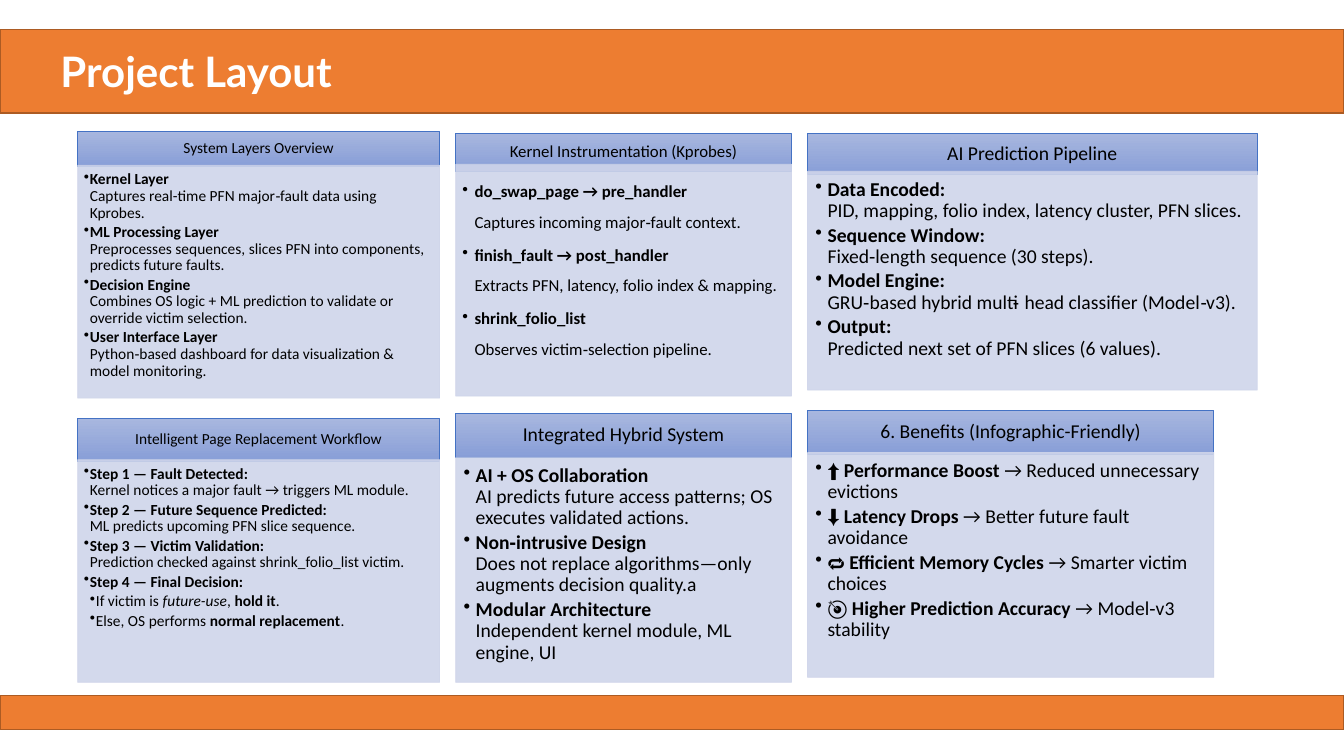
import dataclasses

import lxml.etree
import pptx
import pptx.dml.color
import pptx.enum.shapes
import pptx.enum.text
import pptx.oxml.ns
import pptx.util

Inches = pptx.util.Inches
Pt = pptx.util.Pt
RGBColor = pptx.dml.color.RGBColor
ALIGN = pptx.enum.text.PP_ALIGN
ANCHOR = pptx.enum.text.MSO_ANCHOR

ORANGE = RGBColor(0xED, 0x7D, 0x31)
DARK_ORANGE = RGBColor(0xAC, 0x5B, 0x23)
HEADER_TOP = RGBColor(0xA8, 0xB7, 0xDF)
HEADER_BOTTOM = RGBColor(0x88, 0x9E, 0xD7)
BLUE = RGBColor(0x44, 0x72, 0xC4)
PALE_BLUE = RGBColor(0xCF, 0xD5, 0xEA)
BLACK = RGBColor(0, 0, 0)
WHITE = RGBColor(0xFF, 0xFF, 0xFF)

SLIDE_WIDTH = 13.33
COLUMNS = (0.77, 4.52, 8.01)


@dataclasses.dataclass
class Panel:
    """Box in inches, text size in points; items hold (bold lead, detail)."""
    heading: str
    box: tuple
    header_height: float
    body_offset: float
    size: int
    items: list
    hanging: float = 0.12
    line_spacing: float = 0.9
    outcomes: tuple = ()


PANELS = [
    Panel("System Layers Overview", (COLUMNS[0], 1.3, 3.59, 2.65), 0.35, 0.34, 11, [
        ("Kernel Layer\n", "Captures real-time PFN major‑fault data using Kprobes."),
        ("ML Processing Layer\n",
         "Preprocesses sequences, slices PFN into components, predicts future faults."),
        ("Decision Engine\n",
         "Combines OS logic + ML prediction to validate or override victim selection."),
        ("User Interface Layer\n",
         "Python‑based dashboard for data visualization & model monitoring."),
    ], hanging=0.06),
    Panel("Kernel Instrumentation (Kprobes)", (COLUMNS[1], 1.32, 3.33, 2.61), 0.38, 0.31, 12, [
        ("do_swap_page → pre_handler\n", "Captures incoming major‑fault context."),
        ("finish_fault → post_handler\n", "Extracts PFN, latency, folio index & mapping."),
        ("shrink_folio_list\n", "Observes victim‑selection pipeline."),
    ], line_spacing=1.5),
    Panel("AI Prediction Pipeline", (COLUMNS[2], 1.32, 4.46, 2.55), 0.41, 0.38, 14, [
        ("Data Encoded:\n", "PID, mapping, folio index, latency cluster, PFN slices."),
        ("Sequence Window:\n", "Fixed‑length sequence (30 steps)."),
        ("Model Engine:\n", "GRU‑based hybrid multi‑head classifier (Model‑v3)."),
        ("Output:\n", "Predicted next set of PFN slices (6 values)."),
    ]),
    Panel("Intelligent Page Replacement Workflow", (COLUMNS[0], 4.15, 3.59, 2.62), 0.43, 0.41, 11, [
        ("Step 1 — Fault Detected:\n", "Kernel notices a major fault → triggers ML module."),
        ("Step 2 — Future Sequence Predicted:\n", "ML predicts upcoming PFN slice sequence."),
        ("Step 3 — Victim Validation:\n", "Prediction checked against shrink_folio_list victim."),
        ("Step 4 — Final Decision:", ""),
    ], hanging=0.06, outcomes=(
        (("If victim is ", ""), ("future-use", "italic"), (", ", ""), ("hold it", "bold"), (".", "")),
        (("Else, OS performs ", ""), ("normal replacement", "bold"), (".", "")),
    )),
    Panel("Integrated Hybrid System", (COLUMNS[1], 4.1, 3.33, 2.67), 0.44, 0.44, 14, [
        ("AI + OS Collaboration\n",
         "AI predicts future access patterns; OS executes validated actions."),
        ("Non‑intrusive Design\n",
         "Does not replace algorithms—only augments decision quality.a"),
        ("Modular Architecture\n", "Independent kernel module, ML engine, UI"),
    ]),
    Panel("6. Benefits (Infographic-Friendly)", (COLUMNS[2], 4.07, 4.03, 2.65), 0.44, 0.42, 14, [
        ("⬆ Performance Boost", " → Reduced unnecessary evictions"),
        ("⬇ Latency Drops", " → Better future fault avoidance"),
        ("🔁 Efficient Memory Cycles", " → Smarter victim choices"),
        ("🎯 Higher Prediction Accuracy", " → Model‑v3 stability"),
    ]),
]


def add_rectangle(page, left, top, width, height):
    shape = page.shapes.add_shape(
        pptx.enum.shapes.MSO_SHAPE.RECTANGLE,
        Inches(left), Inches(top), Inches(width), Inches(height))
    shape.shadow.inherit = False
    return shape


def paint(shape, fill, line, weight):
    shape.fill.solid()
    shape.fill.fore_color.rgb = fill
    shape.line.color.rgb = line
    shape.line.width = Pt(weight)


def set_font(font, name, size, color):
    font.name = name
    font.size = Pt(size)
    font.color.rgb = color


def set_insets(frame, left, top, right, bottom):
    frame.margin_left, frame.margin_top = Pt(left), Pt(top)
    frame.margin_right, frame.margin_bottom = Pt(right), Pt(bottom)


def add_title_band(page, top, height):
    title = page.shapes.title
    title.left, title.top = Inches(0), Inches(top)
    title.width, title.height = Inches(SLIDE_WIDTH), Inches(height)
    paint(title, ORANGE, DARK_ORANGE, 1)
    frame = title.text_frame
    frame.text = "Project Layout"
    frame.vertical_anchor = ANCHOR.MIDDLE
    frame.margin_left = Inches(0.6)
    para = frame.paragraphs[0]
    para.alignment = ALIGN.LEFT
    set_font(para.font, "Lato", 30, WHITE)
    para.font.bold = True


def add_header(page, panel):
    left, top, width, _ = panel.box
    header = add_rectangle(page, left, top, width, panel.header_height)
    header.fill.gradient()
    header.fill.gradient_angle = 270
    for stop, color in zip(header.fill.gradient_stops, (HEADER_TOP, HEADER_BOTTOM)):
        stop.color.rgb = color
    header.line.color.rgb = BLUE
    header.line.width = Pt(0.5)
    frame = header.text_frame
    frame.word_wrap = True
    frame.vertical_anchor = ANCHOR.MIDDLE
    set_insets(frame, *[panel.size * ratio for ratio in (0.57, 0.32, 0.57, 0.32)])
    para = frame.paragraphs[0]
    para.text = panel.heading
    para.alignment = ALIGN.CENTER
    para.line_spacing = 0.9
    set_font(para.font, "Calibri", panel.size, BLACK)


def add_bullet(para, panel, level, spans):
    para.alignment = ALIGN.LEFT
    para.line_spacing = panel.line_spacing
    para.space_after = Pt(panel.size * 0.18)
    properties = para._p.get_or_add_pPr()
    properties.set("marL", str(Inches(panel.hanging * level)))
    properties.set("indent", str(-Inches(panel.hanging)))
    bullet = lxml.etree.SubElement(properties, pptx.oxml.ns.qn("a:buChar"))
    bullet.set("char", "•")
    set_font(para.font, "Calibri", panel.size, BLACK)
    for text, style in spans:
        span = para.add_run()
        span.text = text.rstrip("\n")
        span.font.bold = style == "bold"
        span.font.italic = style == "italic"
        if text.endswith("\n"):
            para.add_line_break()


def add_body(page, panel):
    left, top, width, height = panel.box
    body = add_rectangle(page, left, top + panel.body_offset, width, height - panel.body_offset)
    paint(body, PALE_BLUE, PALE_BLUE, 0.5)
    for color in body._element.spPr.iter(pptx.oxml.ns.qn("a:srgbClr")):
        lxml.etree.SubElement(color, pptx.oxml.ns.qn("a:alpha")).set("val", "90000")
    frame = body.text_frame
    frame.word_wrap = True
    frame.vertical_anchor = ANCHOR.TOP
    set_insets(frame, *[panel.size * ratio for ratio in (0.4, 0.4, 0.57, 0.6)])
    bullets = [(1, [(lead, "bold")] + ([(detail, "")] if detail else []))
               for lead, detail in panel.items]
    bullets += [(2, spans) for spans in panel.outcomes]
    for index, (level, spans) in enumerate(bullets):
        para = frame.add_paragraph() if index else frame.paragraphs[0]
        add_bullet(para, panel, level, spans)


def build_layout_page(deck):
    page = deck.slides.add_slide(deck.slide_layouts[5])
    add_title_band(page, 0.29, 0.83)
    paint(add_rectangle(page, 0, 6.9, SLIDE_WIDTH, 0.34), ORANGE, DARK_ORANGE, 1)
    for panel in PANELS:
        add_header(page, panel)
        add_body(page, panel)


def main():
    deck = pptx.Presentation()
    deck.slide_width = Inches(SLIDE_WIDTH)
    deck.slide_height = Inches(7.5)
    build_layout_page(deck)
    deck.save("out.pptx")


if __name__ == "__main__":
    main()
